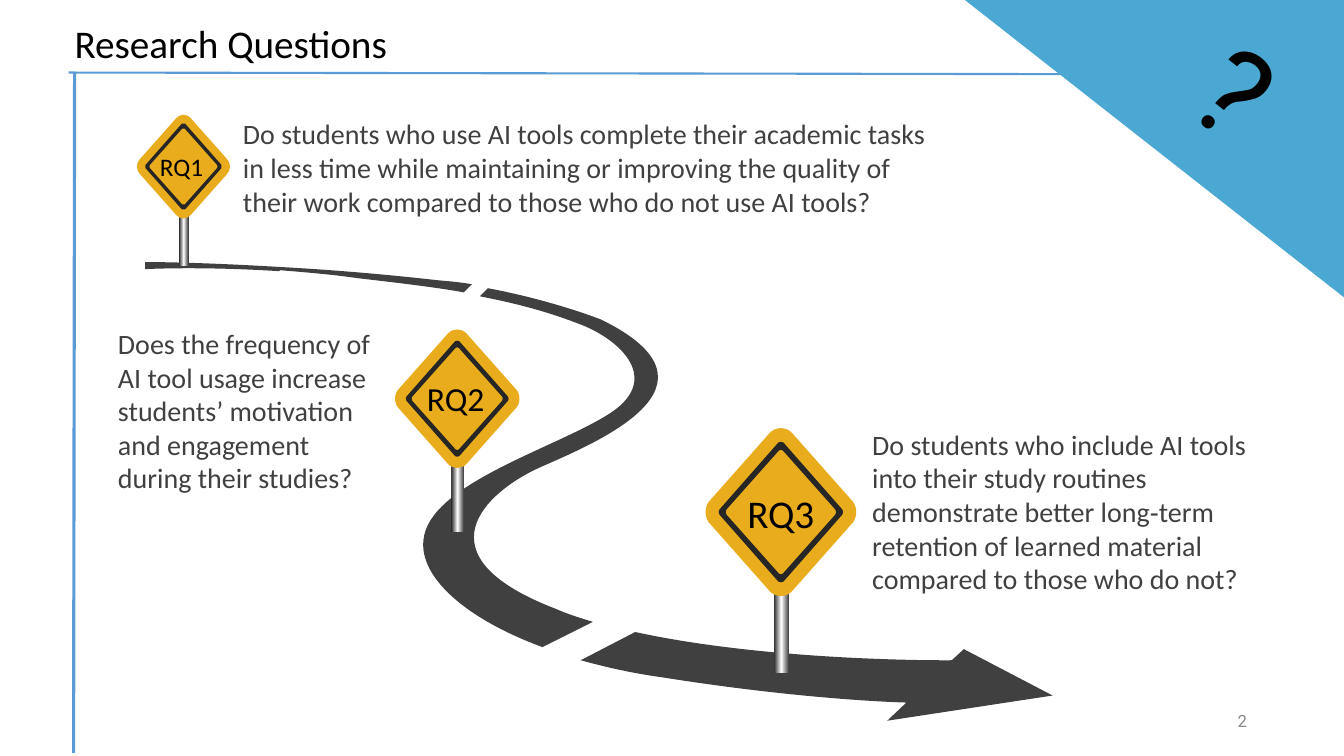
from copy import deepcopy

from lxml.etree import SubElement
from pptx import Presentation
from pptx.dml.color import RGBColor
from pptx.enum.shapes import MSO_CONNECTOR, MSO_SHAPE
from pptx.enum.text import MSO_ANCHOR, MSO_AUTO_SIZE, PP_ALIGN
from pptx.oxml.ns import qn
from pptx.util import Inches, Pt

ASPHALT, YELLOW, INK, BLACK = "404040", "E9AC1C", "262626", "000000"
RULE_BLUE, CORNER_BLUE, GREY = "5B9BD5", "4AA8D3", "888888"
CURVE_STEPS = 12
SIGN_WIDTH = 1.49  # width at which the sign's proportions are given

# Each piece: a start point, then segments of one point (line) or three (curve)
ROAD_PIECES = [
    [(5.51, 6.04), [(4.13, 5.51), (4.82, 4.88), (5.35, 4.64)],
     [(5.89, 4.4), (7.31, 3.83), (5.96, 3.17)],
     [(5.96, 3.17), (5.48, 2.98), (4.84, 2.86)], [(4.76, 2.94)],
     [(5.22, 3.03), (5.5, 3.12), (5.76, 3.22)],
     [(6.17, 3.38), (6.58, 3.78), (6.02, 4.12)],
     [(5.47, 4.46), (4.25, 4.81), (4.2, 5.36)],
     [(4.16, 5.73), (4.62, 6.14), (5.38, 6.42)], [(5.88, 6.17)],
     [(5.75, 6.13), (5.62, 6.09), (5.51, 6.04)]],
    [(1.44, 2.6), [(1.44, 2.67)], [(1.44, 2.67), (1.97, 2.64), (2.77, 2.69)],
     [(2.8, 2.65)], [(2.29, 2.62), (1.8, 2.6), (1.44, 2.6)]],
    [(4.34, 2.78), [(3.9, 2.73), (3.35, 2.68), (2.8, 2.65)], [(2.77, 2.68)],
     [(3.01, 2.7), (3.27, 2.72), (3.55, 2.76)],
     [(3.98, 2.81), (4.32, 2.85), (4.6, 2.9)], [(4.68, 2.82)],
     [(4.57, 2.8), (4.45, 2.79), (4.34, 2.78)]],
    [(10.44, 6.9), [(9.56, 6.44)], [(9.44, 6.55)],
     [(9.44, 6.55), (7.68, 6.57), (6.3, 6.27)], [(5.76, 6.55)],
     [(6.01, 6.62), (6.28, 6.68), (6.57, 6.72)],
     [(8.02, 6.95), (8.99, 6.97), (8.99, 6.97)], [(8.8, 7.15)]],
]

QUESTIONS = [
    ((8.6, 4.19, 4.19, 1.71), "Do students who include AI tools into their study routines "
     "demonstrate better long‑term retention of learned material compared to those who do not?"),
    ((1.12, 3.19, 2.72, 1.71), "Does the frequency of AI tool usage increase students’ "
     "motivation and engagement during their studies?"),
    ((2.36, 1.11, 7.08, 1.04), "Do students who use AI tools complete their academic tasks in "
     "less time while maintaining or improving the quality of their work compared to those "
     "who do not use AI tools?"),
]
# label, sign's left, top and width, label's box, label's size
SIGNS = [
    ("RQ3", 7, 4.25, 1.49, (7.13, 4.84, 1.23, 0.49), 28),
    ("RQ2", 3.92, 3.27, 1.23, (4.02, 3.73, 1, 0.43), 24),
    ("RQ1", 1.36, 1.14, 0.92, (1.44, 1.47, 0.72, 0.36), 18),
]


def rgb(value):
    return RGBColor.from_string(value)


def place(shape, box):
    for side, length in zip(("left", "top", "width", "height"), box):
        setattr(shape, side, Inches(length))


def paint(shape, color):
    shape.shadow.inherit = False
    shape.line.fill.background()
    shape.fill.solid()
    shape.fill.fore_color.rgb = rgb(color)


def write(shape, text, size, color, font="Calibri", align=PP_ALIGN.LEFT,
          anchor=MSO_ANCHOR.TOP, wrap=True, spacing=None):
    frame = shape.text_frame
    frame.text = text
    margins = {f"margin_{side}": Inches(0.05) for side in ("left", "top", "right", "bottom")}
    layout = {"word_wrap": wrap, "auto_size": MSO_AUTO_SIZE.NONE, "vertical_anchor": anchor}
    for name, value in {**margins, **layout}.items():
        setattr(frame, name, value)
    paragraph = frame.paragraphs[0]
    paragraph.alignment, paragraph.line_spacing = align, spacing
    run_font = paragraph.runs[0].font
    for name, value in {"name": font, "size": Pt(size)}.items():
        setattr(run_font, name, value)
    run_font.color.rgb = rgb(color)


def add_text(slide, box, text, size, color, **formats):
    text_box = slide.shapes.add_textbox(*map(Inches, box))
    write(text_box, text, size, color, **formats)
    return text_box


def flatten(outline):
    """Turn lines and Bezier curves into a list of points."""
    points = [outline[0]]
    for segment in outline[1:]:
        if len(segment) == 1:
            points += segment
            continue
        nodes = [points[-1], *segment]
        for step in range(1, CURVE_STEPS + 1):
            t = step / CURVE_STEPS
            weights = ((1 - t) ** 3, 3 * t * (1 - t) ** 2, 3 * t * t * (1 - t), t ** 3)
            points.append(tuple(sum(w * node[axis] for w, node in zip(weights, nodes))
                                for axis in (0, 1)))
    return points


def set_curves(shape, outlines):
    """Give a freeform its true curves inside the extent it already has."""
    drawing = shape._element.spPr.find(f".//{qn('a:path')}")
    for step in list(drawing):
        drawing.remove(step)
    for start, *segments in outlines:
        for index, segment in enumerate([[start], *segments]):
            kind = "a:moveTo" if index == 0 else "a:lnTo" if len(segment) == 1 else "a:cubicBezTo"
            step = SubElement(drawing, qn(kind))
            for x, y in segment:
                SubElement(step, qn("a:pt"), x=str(Inches(x) - shape.left),
                           y=str(Inches(y) - shape.top))
        SubElement(drawing, qn("a:close"))


def add_outline(slide, outlines, color):
    """Draw closed outlines as one shape; a second outline cuts a hole."""
    extent = [(Inches(x), Inches(y)) for x, y in flatten(outlines[0])]
    builder = slide.shapes.build_freeform(*extent[0], scale=1.0)
    builder.add_line_segments(extent[1:], close=True)
    shape = builder.convert_to_shape()
    set_curves(shape, outlines)
    paint(shape, color)


def rounded_diamond(center, scale, side_x, side_y, blunt_x, blunt_y, bulge):
    """Outline whose sides run from (side_x, blunt_y) to (blunt_x, side_y)."""
    def at(x, y):
        return center[0] + scale * x, center[1] + scale * y

    outline = [at(side_x, -blunt_y)]
    for sign in (1, -1):
        tip_x, tip_y = sign * (side_x + bulge), sign * (side_y + bulge)
        x, y, bx, by = (sign * value for value in (side_x, side_y, blunt_x, blunt_y))
        if sign == -1:
            outline.append([at(x, -by)])
        outline += [[at(tip_x, -by / 2), at(tip_x, by / 2), at(x, by)],
                    [at(bx, y)],
                    [at(bx / 2, tip_y), at(-bx / 2, tip_y), at(-bx, y)]]
    return outline


def add_post(slide, box):
    post = slide.shapes.add_shape(MSO_SHAPE.RECTANGLE, *map(Inches, box))
    paint(post, ASPHALT)
    post.fill.gradient()
    post.fill.gradient_angle = 0
    stops = post._element.spPr.find(f".//{qn('a:gsLst')}")
    stops.insert(1, deepcopy(stops[0]))
    shine = [(0, "252525"), (0.5, "FFFFFF"), (1, ASPHALT)]
    for stop, (position, color) in zip(post.fill.gradient_stops, shine):
        stop.position = position
        stop.color.rgb = rgb(color)


def add_sign(slide, label, left, top, width, label_box, size):
    scale = width / SIGN_WIDTH
    center = left + width / 2, top + 0.83 * scale
    add_post(slide, (left + 0.675 * scale, top + 1.62 * scale, 0.15 * scale, 0.81 * scale))
    add_outline(slide, [rounded_diamond(center, scale, 0.695, 0.78, 0.115, 0.125, 0.07)], YELLOW)
    add_outline(slide, [rounded_diamond(center, scale, 0.61, 0.69, 0.025, 0.025, 0.01),
                        rounded_diamond(center, scale, 0.54, 0.61, 0.02, 0.025, 0.01)], INK)
    add_text(slide, label_box, label, size, BLACK,
             align=PP_ALIGN.CENTER, anchor=MSO_ANCHOR.MIDDLE)


def add_rule(slide, start, end, weight):
    rule = slide.shapes.add_connector(MSO_CONNECTOR.STRAIGHT, *map(Inches, start + end))
    rule.line.width = Pt(weight)
    rule.line.color.rgb = rgb(RULE_BLUE)
    SubElement(rule._element.spPr, qn("a:effectLst"))


def add_corner(slide, left, top, width, height):
    corner = slide.shapes.add_shape(MSO_SHAPE.RIGHT_TRIANGLE,
                                    *map(Inches, (left, top, width, height)))
    corner.rotation = 180
    paint(corner, CORNER_BLUE)
    mark = add_text(slide, (left + 2.24, top + 0.27, 0.8, 1.57), "?", 88, BLACK,
                    font="Roboto", spacing=0.9)
    mark.rotation = 38.7


def add_research_questions(presentation):
    slide = presentation.slides.add_slide(presentation.slide_layouts[5])
    add_rule(slide, (0.68, 0.72), (13.33, 0.74), 1.5)
    add_rule(slide, (0.74, 0.71), (0.73, 7.47), 2.25)
    for piece in ROAD_PIECES:
        add_outline(slide, [piece], ASPHALT)
    for box, question in QUESTIONS:
        add_text(slide, box, question, 20, ASPHALT)
    for sign in SIGNS:
        add_sign(slide, *sign)
    add_corner(slide, 9.57, 0, 3.76, 2.95)
    add_text(slide, (12.22, 7.02, 0.2, 0.27), "2", 12, GREY, font="Roboto",
             align=PP_ALIGN.RIGHT, anchor=MSO_ANCHOR.MIDDLE, wrap=False)
    title = slide.shapes.title
    place(title, (0.69, 0.14, 6.19, 0.49))
    write(title, "Research Questions", 28, BLACK)


def main():
    presentation = Presentation()
    presentation.slide_width, presentation.slide_height = Inches(13.33), Inches(7.5)
    add_research_questions(presentation)
    presentation.save("out.pptx")


if __name__ == "__main__":
    main()
